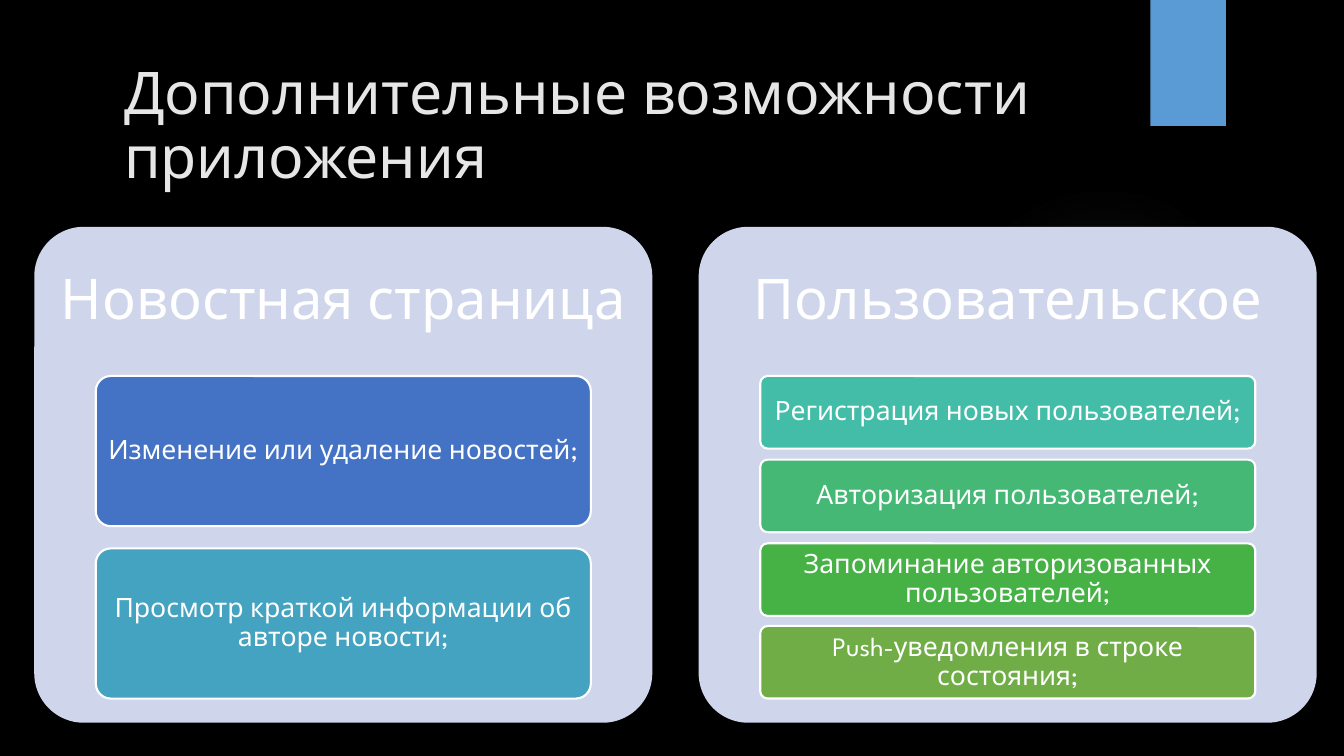
"""Build the slide about the additional features of the application."""
import pptx
import pptx.dml.color
import pptx.enum.shapes
import pptx.enum.text
import pptx.oxml
import pptx.oxml.ns
import pptx.util

PX = 9144
FONT = "League Spartan"
COLORS = {
    "background": "000000",
    "title": "E7E6E6",
    "bar": "5B9BD5",
    "glow": "8497B0",
    "panel": "CFD5EA",
    "white": "FFFFFF",
    "blue": "4472C4",
    "cyan": "44A3C0",
    "teal": "43BDA7",
    "emerald": "44B874",
    "green": "46B246",
    "olive": "70AD47",
}
PANELS = [
    ("Новостная страница", [
        ("Изменение или удаление новостей;", "blue"),
        ("Просмотр краткой информации об авторе новости;", "cyan"),
    ]),
    ("Пользовательское", [
        ("Регистрация новых пользователей;", "teal"),
        ("Авторизация пользователей;", "emerald"),
        ("Запоминание авторизованных пользователей;", "green"),
        ("Push-уведомления в строке состояния;", "olive"),
    ]),
]
PANEL_LEFT, PANEL_TOP, PANEL_W, PANEL_H, PANEL_STEP = 34, 225, 613, 492, 659
CARD_INDENT, CARD_W, CARDS_TOP, CARDS_H = 61, 491, 373, 320
HEADING_H = CARDS_TOP - PANEL_TOP
GAP_RATIO = 0.154


def px(*lengths):
    """Turn px lengths into EMU."""
    return [pptx.util.Emu(round(length) * PX) for length in lengths]


def rgb(name):
    """Look up a named colour."""
    return pptx.dml.color.RGBColor.from_string(COLORS[name])


def set_text(sp, text, size, color, align, inset):
    """Put one formatted paragraph, centred vertically, in a shape."""
    tf = sp.text_frame
    tf.text = text
    tf.word_wrap = True
    tf.auto_size = pptx.enum.text.MSO_AUTO_SIZE.NONE
    tf.vertical_anchor = pptx.enum.text.MSO_ANCHOR.MIDDLE
    tf.margin_left, tf.margin_top, tf.margin_right, tf.margin_bottom = px(*inset * 2)
    p = tf.paragraphs[0]
    p.alignment = align
    p.line_spacing = 0.9
    font = p.runs[0].font
    font.name = FONT
    font.size = pptx.util.Pt(size)
    font.color.rgb = rgb(color)


def add_block(slide, kind, box, color, line=None):
    """Add a filled preset shape without a shadow."""
    sp = slide.shapes.add_shape(kind, *px(*box))
    sp.shadow.inherit = False
    sp.fill.solid()
    sp.fill.fore_color.rgb = rgb(color)
    if line:
        sp.line.color.rgb = rgb(line)
        sp.line.width = pptx.util.Pt(1.5)
    else:
        sp.line.fill.background()
    return sp


def add_round(slide, box, color, line=None):
    """Add a block with slightly rounded corners."""
    sp = add_block(slide, pptx.enum.shapes.MSO_SHAPE.ROUNDED_RECTANGLE, box, color, line)
    sp.adjustments[0] = 0.1
    return sp


def add_glow(slide, box):
    """Add a faint circle that fades out towards its edge."""
    sp = add_block(slide, pptx.enum.shapes.MSO_SHAPE.OVAL, box, "glow")
    stops = "".join(
        f'<a:gs pos="{pos}000"><a:srgbClr val="{COLORS["glow"]}">'
        f'<a:alpha val="{alpha}000"/></a:srgbClr></a:gs>'
        for pos, alpha in [(0, 7), (36, 6), (69, 0)]
    )
    grad = pptx.oxml.parse_xml(
        f'<a:gradFill {pptx.oxml.ns.nsdecls("a")}><a:gsLst>{stops}</a:gsLst>'
        '<a:path path="circle"><a:fillToRect l="50000" t="50000" r="50000" b="50000"/>'
        '</a:path></a:gradFill>'
    )
    solid = sp.element.spPr.find(pptx.oxml.ns.qn("a:solidFill"))
    sp.element.spPr.replace(solid, grad)


def add_title(slide, text, box):
    """Place and format the title placeholder."""
    sp = slide.shapes.title
    sp.left, sp.top, sp.width, sp.height = px(*box)
    set_text(sp, text, 42, "title", pptx.enum.text.PP_ALIGN.LEFT, (10, 5))


def add_panel(slide, left, heading, cards):
    """Add a panel with a heading and a column of equal cards."""
    center = pptx.enum.text.PP_ALIGN.CENTER
    add_round(slide, (left, PANEL_TOP, PANEL_W, PANEL_H), "panel")
    sp = slide.shapes.add_textbox(*px(left, PANEL_TOP, PANEL_W, HEADING_H))
    set_text(sp, heading, 40, "white", center, (17, 17))
    height = CARDS_H / (len(cards) + (len(cards) - 1) * GAP_RATIO)
    for i, (text, color) in enumerate(cards):
        top = CARDS_TOP + i * height * (1 + GAP_RATIO)
        sp = add_round(slide, (left + CARD_INDENT, top, CARD_W, height), color, "white")
        set_text(sp, text, 19, "white", center, (5, 4))


def main():
    """Build and save the slide."""
    prs = pptx.Presentation()
    prs.slide_width, prs.slide_height = px(1333, 750)
    slide = prs.slides.add_slide(prs.slide_layouts[5])
    slide.background.fill.solid()
    slide.background.fill.fore_color.rgb = rgb("background")
    add_glow(slide, (941, 183, 308, 308))
    add_block(slide, pptx.enum.shapes.MSO_SHAPE.RECTANGLE, (1141, 0, 75, 125), "bar")
    add_title(slide, "Дополнительные возможности приложения", (113, 50, 1010, 153))
    for i, (heading, cards) in enumerate(PANELS):
        add_panel(slide, PANEL_LEFT + i * PANEL_STEP, heading, cards)
    prs.save("out.pptx")


if __name__ == "__main__":
    main()
